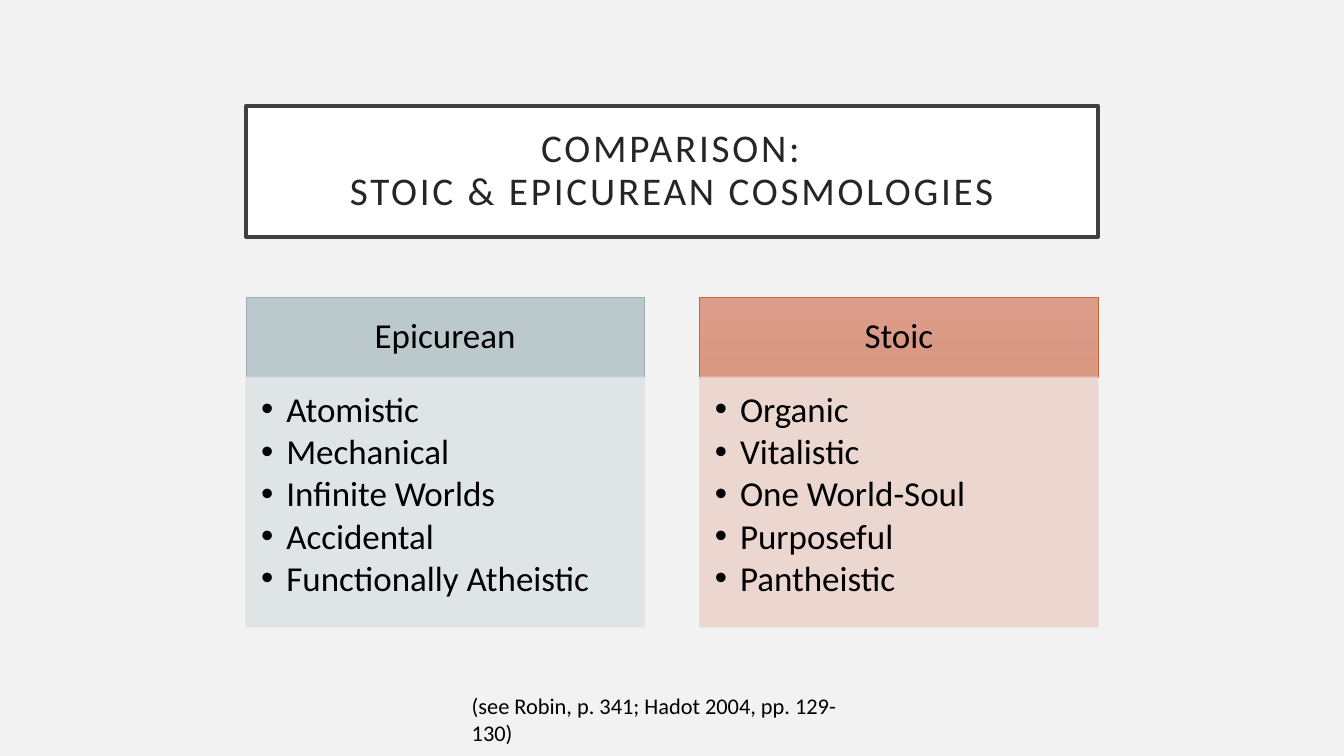
"""Build a slide comparing Epicurean and Stoic cosmologies."""
from lxml import etree
from pptx import Presentation
from pptx.dml.color import RGBColor
from pptx.enum.text import MSO_ANCHOR, MSO_AUTO_SIZE, PP_ALIGN
from pptx.oxml.ns import qn
from pptx.util import Inches, Pt

TOP, MIDDLE = MSO_ANCHOR.TOP, MSO_ANCHOR.MIDDLE
LEFT, CENTER = PP_ALIGN.LEFT, PP_ALIGN.CENTER
NO_AUTOFIT = MSO_AUTO_SIZE.NONE

BACKGROUND = RGBColor(0xF2, 0xF2, 0xF2)
WHITE = RGBColor(0xFF, 0xFF, 0xFF)
BLACK = RGBColor(0x00, 0x00, 0x00)
TITLE_TEXT = RGBColor(0x26, 0x26, 0x26)
TITLE_BORDER = RGBColor(0x40, 0x40, 0x40)
BLUE_TOP = RGBColor(0xBB, 0xC8, 0xCC)
BLUE_BOTTOM = RGBColor(0xB8, 0xC6, 0xCB)
BLUE_BORDER = RGBColor(0x9B, 0xAF, 0xB5)
BLUE_PALE = RGBColor(0xDE, 0xE3, 0xE5)
RED_TOP = RGBColor(0xDB, 0x9C, 0x89)
RED_BOTTOM = RGBColor(0xDA, 0x98, 0x82)
RED_BORDER = RGBColor(0xC9, 0x67, 0x31)
RED_PALE = RGBColor(0xEB, 0xD3, 0xCD)

TITLE_LINES = ["COMPARISON:", "STOIC & EPICUREAN COSMOLOGIES"]
COLUMNS = [
    {
        "heading": "Epicurean",
        "points": ["Atomistic", "Mechanical", "Infinite Worlds", "Accidental",
                   "Functionally Atheistic"],
        "gradient": (BLUE_TOP, BLUE_BOTTOM), "border": BLUE_BORDER, "pale": BLUE_PALE,
    },
    {
        "heading": "Stoic",
        "points": ["Organic", "Vitalistic", "One World-Soul", "Purposeful", "Pantheistic"],
        "gradient": (RED_TOP, RED_BOTTOM), "border": RED_BORDER, "pale": RED_PALE,
    },
]
CITATION = "(see Robin, p. 341; Hadot 2004, pp. 129-130)"

CONTENT_LEFT, CONTENT_WIDTH = 2.44, 8.45
COLUMN_WIDTH = 3.95
COLUMN_STEP = CONTENT_WIDTH - COLUMN_WIDTH
HEADING_TOP, HEADING_HEIGHT, LIST_HEIGHT = 2.95, 0.79, 2.48


def set_all(target, values):
    """Set every attribute in a dict of format values."""
    for name, value in values.items():
        setattr(target, name, value)


def place(shape, left, top, width, height):
    """Move and size a shape, in inches."""
    set_all(shape, {"left": Inches(left), "top": Inches(top),
                    "width": Inches(width), "height": Inches(height)})


def format_frame(frame, anchor, margins):
    """Set anchor, wrapping and the left, top, right and bottom margins."""
    sides = ("margin_left", "margin_top", "margin_right", "margin_bottom")
    set_all(frame, {"auto_size": NO_AUTOFIT, "word_wrap": True, "vertical_anchor": anchor})
    set_all(frame, dict(zip(sides, map(Inches, margins))))


def format_paragraph(paragraph, size, color, alignment=LEFT, spacing=0.9, after=0):
    """Set paragraph spacing and font."""
    set_all(paragraph, {"alignment": alignment, "line_spacing": spacing,
                        "space_before": Pt(0), "space_after": Pt(after)})
    set_all(paragraph.font, {"name": "Calibri", "size": Pt(size), "bold": False})
    paragraph.font.color.rgb = color


def set_line(shape, color, width):
    """Give a shape a solid outline."""
    shape.line.color.rgb = color
    shape.line.width = Pt(width)


def add_bullet(paragraph):
    """Give a paragraph a round bullet with a hanging indent."""
    properties = paragraph._p.get_or_add_pPr()
    properties.set("marL", str(Inches(0.25)))
    properties.set("indent", str(-Inches(0.25)))
    etree.SubElement(properties, qn("a:buFont"), typeface="Arial")
    etree.SubElement(properties, qn("a:buChar"), char="•")


def add_title(title):
    """Fill the framed title."""
    place(title, CONTENT_LEFT, 1.05, CONTENT_WIDTH, 1.3)
    title.fill.solid()
    title.fill.fore_color.rgb = WHITE
    set_line(title, TITLE_BORDER, 2.5)
    format_frame(title.text_frame, MIDDLE, (0.2, 0.2, 0.2, 0.2))
    paragraph = title.text_frame.paragraphs[0]
    for index, line in enumerate(TITLE_LINES):
        if index:
            paragraph.add_line_break()
        run = paragraph.add_run()
        run.text = line
        run._r.get_or_add_rPr().set("spc", "200")
    format_paragraph(paragraph, 28, TITLE_TEXT, CENTER)


def add_heading(shape, column, left):
    """Fill a column heading."""
    place(shape, left, HEADING_TOP, COLUMN_WIDTH, HEADING_HEIGHT)
    shape.fill.gradient()
    shape.fill.gradient_angle = 270
    for stop, color in zip(shape.fill.gradient_stops, column["gradient"]):
        stop.color.rgb = color
    set_line(shape, column["border"], 0.5)
    format_frame(shape.text_frame, MIDDLE, (0.19, 0.11, 0.19, 0.11))
    shape.text_frame.text = column["heading"]
    format_paragraph(shape.text_frame.paragraphs[0], 25, BLACK, CENTER)


def add_points(shape, column, left):
    """Fill a column's bulleted list."""
    place(shape, left, HEADING_TOP + HEADING_HEIGHT, COLUMN_WIDTH, LIST_HEIGHT)
    shape.fill.solid()
    shape.fill.fore_color.rgb = column["pale"]
    set_line(shape, column["pale"], 0.5)
    for color in shape._element.spPr.iter(qn("a:srgbClr")):
        etree.SubElement(color, qn("a:alpha"), val="90000")
    format_frame(shape.text_frame, TOP, (0.15, 0.15, 0.19, 0.22))
    shape.text_frame.text = "\n".join(column["points"])
    for paragraph in shape.text_frame.paragraphs:
        add_bullet(paragraph)
        format_paragraph(paragraph, 25, BLACK, after=3.2)


def add_citation(slide):
    """Add the source note below the columns."""
    box = slide.shapes.add_textbox(Inches(4.58), Inches(6.82), Inches(4.18), Inches(0.37))
    format_frame(box.text_frame, TOP, (0.1, 0.05, 0.1, 0.05))
    box.text_frame.text = CITATION
    format_paragraph(box.text_frame.paragraphs[0], 16, BLACK, spacing=1.0)


def main():
    """Build and save the presentation."""
    presentation = Presentation()
    presentation.slide_width, presentation.slide_height = Inches(13.33), Inches(7.5)
    slide = presentation.slides.add_slide(presentation.slide_layouts.get_by_name("Comparison"))
    slide.background.fill.solid()
    slide.background.fill.fore_color.rgb = BACKGROUND
    add_title(slide.shapes.title)
    for index, column in enumerate(COLUMNS):
        left = CONTENT_LEFT + index * COLUMN_STEP
        add_heading(slide.placeholders[2 * index + 1], column, left)
        add_points(slide.placeholders[2 * index + 2], column, left)
    add_citation(slide)
    presentation.save("out.pptx")


if __name__ == "__main__":
    main()
